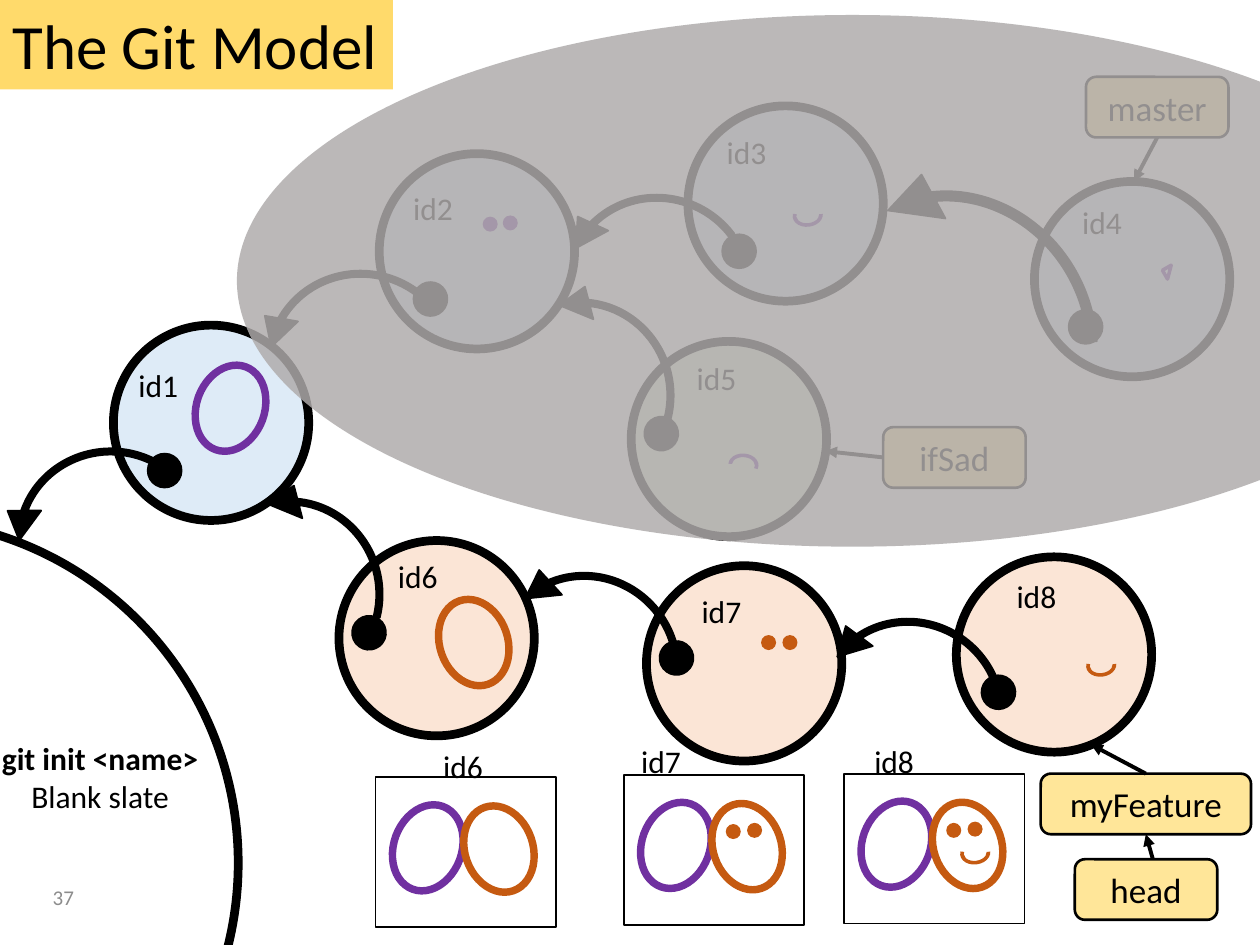
import pptx
import pptx.dml.color
import pptx.enum.shapes
import pptx.enum.text
import pptx.oxml.ns
import pptx.util
from lxml import etree

Pt = pptx.util.Pt
RGB = pptx.dml.color.RGBColor
FORM = pptx.enum.shapes.MSO_SHAPE
ALIGN = pptx.enum.text.PP_ALIGN
ANCHOR = pptx.enum.text.MSO_ANCHOR
qn = pptx.oxml.ns.qn

BLACK = RGB(0x00, 0x00, 0x00)
GRAY = RGB(0x8C, 0x8C, 0x8C)
VEIL = RGB(0xAF, 0xAB, 0xAB)
GOLD = RGB(0xFF, 0xC0, 0x00)
CREAM = RGB(0xFF, 0xE6, 0x99)
BLUE = RGB(0xDE, 0xEB, 0xF7)
GREEN = RGB(0xE2, 0xF0, 0xD9)
PEACH = RGB(0xFB, 0xE5, 0xD6)
PURPLE = RGB(0x70, 0x30, 0xA0)
ORANGE = RGB(0xC5, 0x5A, 0x11)

# kind: preset, width, height, line width, adjustments
KINDS = {
    "title": (FORM.RECTANGLE, 224.6, 51.1, 0, ()),
    "ring": (FORM.OVAL, 393.1, 393.1, 5, ()),
    "veil": (FORM.OVAL, 703.4, 303.8, 0, ()),
    "disk": (FORM.OVAL, 111.6, 111.6, 5, ()),
    "dot": (FORM.OVAL, 19.4, 19.4, 1, ()),
    "hook": (FORM.CIRCULAR_ARROW, 123.8, 120.2, 1,
             (0.03, 11.42, 204.14, 143.51, 0.08)),
    "egg": (FORM.OVAL, 38.9, 50.4, 4.25, ()),
    "eye": (FORM.OVAL, 8.6, 8.6, 0, ()),
    "mouth": (FORM.BLOCK_ARC, 17.3, 13, 0, (108.78, 7.95, 0.16)),
    "nose": (FORM.RIGHT_TRIANGLE, 5.8, 5.8, 2, ()),
    "pane": (FORM.RECTANGLE, 103, 85.7, 1, ()),
    "tag": (FORM.ROUNDED_RECTANGLE, 81.4, 34.6, 1.5, ()),
}

deck = pptx.Presentation()
deck.slide_width, deck.slide_height = Pt(720), Pt(540)
slide = deck.slides.add_slide(deck.slide_layouts[6])
shapes = slide.shapes


def draw(kind, x, y, fill=None, line=BLACK, turn=0, size=None, alpha=None):
    form, wide, high, weight, adjust = KINDS[kind]
    wide, high = size or (wide, high)
    item = shapes.add_shape(form, Pt(x), Pt(y), Pt(wide), Pt(high))
    item.shadow.inherit = False
    item.rotation = turn
    for i, value in enumerate(adjust):
        item.adjustments[i] = value
    if fill is None:
        item.fill.background()
    else:
        item.fill.solid()
        item.fill.fore_color.rgb = fill
    if alpha:
        tint = item.fill._xPr.find(".//" + qn("a:srgbClr"))
        etree.SubElement(tint, qn("a:alpha")).set("val", str(alpha * 1000))
    if weight:
        item.line.color.rgb = line
        item.line.width = Pt(weight)
    else:
        item.line.fill.background()
    return item


def write(text, box=None, item=None, size=18, color=BLACK, align=ALIGN.LEFT,
          anchor=ANCHOR.TOP, wrap=False, bold=0):
    """Write text in a new box or in item; the first `bold` lines are bold."""
    item = item or shapes.add_textbox(*map(Pt, box))
    frame = item.text_frame
    frame.word_wrap = wrap
    frame.vertical_anchor = anchor
    for i, words in enumerate(text.split("\n")):
        para = frame.paragraphs[0] if i == 0 else frame.add_paragraph()
        para.alignment = align
        run = para.add_run()
        run.text = words
        run.font.name = "Calibri"
        run.font.size = Pt(size)
        run.font.bold = i < bold
        run.font.color.rgb = color


# Page number, title and blank slate
write("37", (23, 498.2, 162, 28.8), size=12, color=GRAY,
      anchor=ANCHOR.MIDDLE, wrap=True)
write("The Git Model", item=draw("title", 0, 0, GOLD, alpha=58), size=36)
write("git init <name>\nBlank slate", (-6.5, 419, 127.4, 51.1),
      align=ALIGN.CENTER, bold=1)
draw("ring", -257, 296.6)

# Commits: name, disk, fill, disk turn, dot offset, hook, hook turn, label
LOW, SIDE = (19.6, 73.4), (7.5, 43)
COMMITS = [
    ("id1", (64.8, 185.8), BLUE, 315.9, LOW, (1.4, 248.4), 358.9, (72, 205.9)),
    ("id2", (216.7, 87.8), BLUE, 315.9, LOW, (144.7, 146.9), 8.8, (229, 104.4)),
    ("id3", (393.1, 60.5), BLUE, 315.9, LOW, (314.6, 103.7), 24, (408.2, 72.7)),
    ("id4", (591.1, 103.7), BLUE, 315.9, LOW, (450, 103.7), 60.6, (611.3, 112.3)),
    ("id5", (360.7, 195.1), GREEN, 6.7, SIDE, (270.7, 164.9), 74.8, (391, 201.6)),
    ("id6", (193.7, 308.9), PEACH, 6.7, SIDE, (104.4, 278.6), 74.8, (220.3, 314.6)),
    ("id7", (369.4, 323.3), PEACH, 6.7, SIDE, (273.6, 320.4), 46.6, (393.8, 334.8)),
    ("id8", (546.5, 318.2), PEACH, 327.7, (14.4, 67.7), (458.6, 346.3), 35.8,
     (573.8, 326.2)),
]
# Face parts that each commit adds: kind, x, y, fill, line, turn
PARTS = {
    "id1": [("egg", 112.3, 208.1, None, PURPLE, 20)],
    "id2": [("eye", 275.8, 123.8, PURPLE), ("eye", 287.3, 123.1, PURPLE)],
    "id3": [("mouth", 452.9, 116.6, PURPLE, None, 173)],
    "id4": [("nose", 665.3, 152.6, None, PURPLE, 59.9)],
    "id5": [("mouth", 416.2, 259.2, PURPLE, None, 3.4)],
    "id6": [("egg", 251.3, 342, None, ORANGE, 341.1)],
    "id7": [("eye", 434.9, 362.9, ORANGE), ("eye", 447.1, 362.9, ORANGE)],
    "id8": [("mouth", 620.6, 373.7, ORANGE, None, 173)],
}
# Tags on a commit: text, x, y, width, start side, start, tip
TAGS = {
    "id4": [("master", 620.6, 43.9, 81.4, 2, (661.3, 78.5), (648, 103.7))],
    "id5": [("ifSad", 504.7, 244.1, 81.4, 1, (504.7, 261.4), (471.6, 257.8))],
    "id8": [("myFeature", 594.7, 442.1, 120.2, 0, (654.8, 442.1), (623.5, 425.5)),
            ("head", 614.2, 491, 81.4, None, (658.8, 491), (654.8, 476.7))],
}
for name, disk, fill, turn, shift, hook, bend, label in COMMITS:
    if name == "id6":  # the veil fades all that came before
        draw("veil", 135.4, 8.6, VEIL, alpha=84)
    draw("disk", *disk, fill, turn=turn)
    draw("dot", disk[0] + shift[0], disk[1] + shift[1], BLACK, turn=turn)
    arc = draw("hook", *hook, BLACK, turn=bend,
               size=(194.4, 178.6) if name == "id4" else None)
    arc.element.spPr.xfrm.set("flipH", "1")
    for part in PARTS[name]:
        draw(*part)
    write(name, (*label, 37.4, 28.8))

    last = None
    for text, x, y, wide, side, start, tip in TAGS.get(name, []):
        tag = draw("tag", x, y, CREAM, size=(wide, 34.6))
        write(text, item=tag, size=20, align=ALIGN.CENTER,
              anchor=ANCHOR.MIDDLE, wrap=True)
        link = shapes.add_connector(pptx.enum.shapes.MSO_CONNECTOR.STRAIGHT,
                                    *map(Pt, start + tip))
        if side is not None:
            link.begin_connect(tag, side)
        if last is not None:
            link.end_connect(last, 2)
        link.line.color.rgb = BLACK
        link.line.width = Pt(2.25)
        edge = link.line._get_or_add_ln()
        etree.SubElement(edge, qn("a:tailEnd")).set("type", "triangle")
        etree.SubElement(link.element.spPr, qn("a:effectLst"))
        last = tag

# Panes: the state of the drawing after each commit
PANES = [
    ("id6", 214.6, 444.2, (246.2, 423.4)),
    ("id7", 356.4, 442.8, (359.3, 420.5)),
    ("id8", 482.4, 442.1, (492.5, 420.5)),
]
STEPS = [
    [("egg", 10.4, 15.1, None, PURPLE, 20), ("egg", 51.1, 15.8, None, ORANGE, 341.1)],
    [("eye", 58.3, 28.1, ORANGE), ("eye", 70.5, 27.4, ORANGE)],
    [("mouth", 66.2, 38.9, ORANGE, None, 173)],
]
for count, (name, left, top, label) in enumerate(PANES, 1):
    draw("pane", left, top)
    for step in STEPS[:count]:
        for kind, x, y, *look in step:
            draw(kind, left + x, top + y, *look)
    write(name, (*label, 37.4, 28.8))

deck.save("out.pptx")
